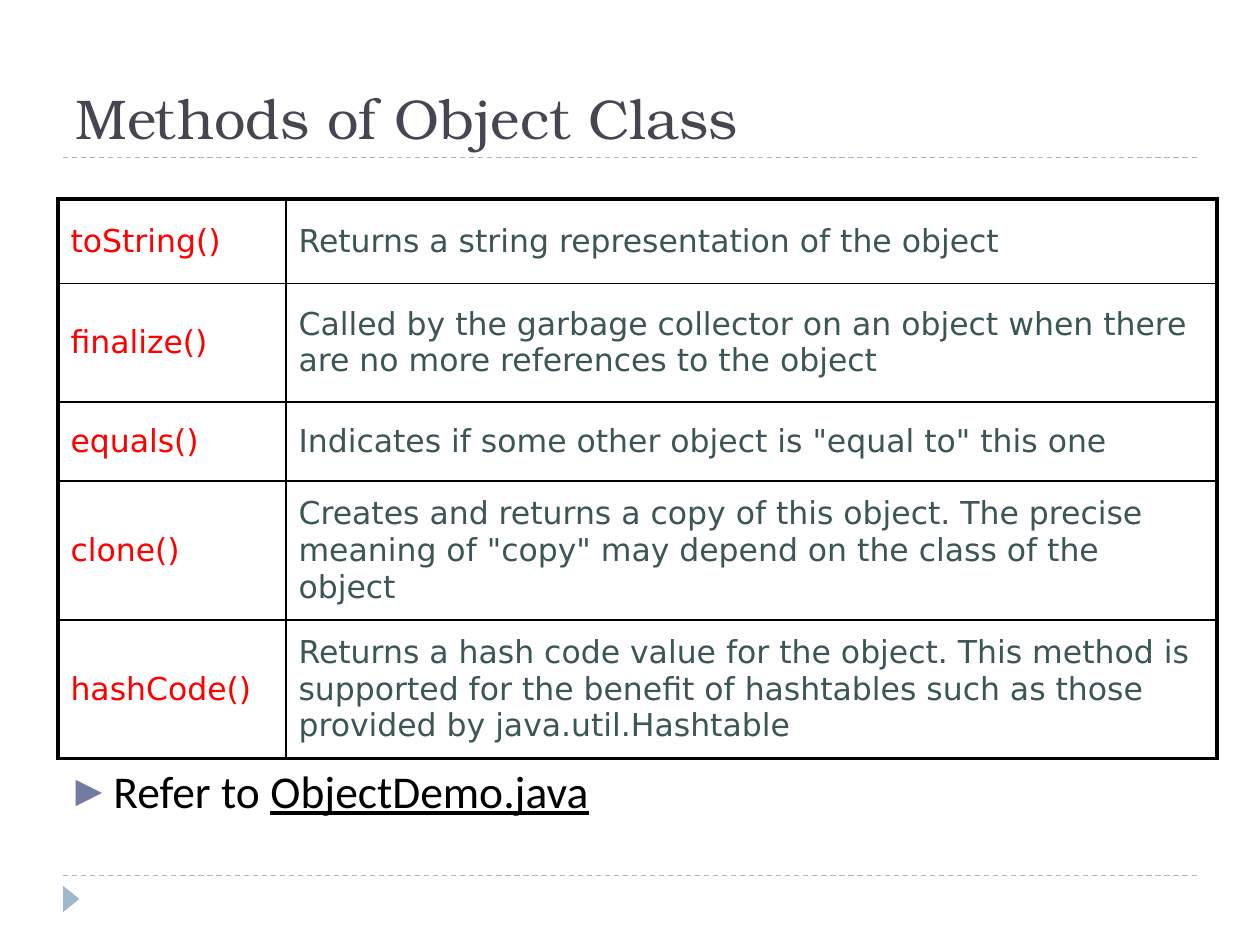
"""Build a slide that lists the methods of the Object class."""
from lxml import etree
from pptx import Presentation
from pptx import util as u
from pptx.dml.color import RGBColor
from pptx.enum import dml, shapes, text
from pptx.oxml import ns

TITLE = "Methods of Object Class"
ROWS = [
    (0.67, "toString()", "Returns a string representation of the object"),
    (0.94, "finalize()", "Called by the garbage collector on an object when there "
                         "are no more references to the object"),
    (0.63, "equals()", 'Indicates if some other object is "equal to" this one'),
    (1.1, "clone()", "Creates and returns a copy of this object. The precise meaning "
                     'of "copy" may depend on the class of the object'),
    (1.1, "hashCode()", "Returns a hash code value for the object. This method is "
                        "supported for the benefit of hashtables such as those "
                        "provided by java.util.Hashtable"),
]
COLS = [(1.81, "FF0000"), (7.39, "3C5658")]
NOTE = [("Refer to ", False), ("ObjectDemo.java", True)]
RULES = [1.25, 6.95]
BULLET = [("buClr", {}), ("buSzPct", {"val": "76000"}),
          ("buFont", {"typeface": "DejaVu Sans"}), ("buChar", {"char": "▶"})]
PALE = "9FB8CD"


def color(code):
    return RGBColor.from_string(code)


def add(node, tag, **attrs):
    return etree.SubElement(node, ns.qn("a:" + tag), attrs)


def place(shape, *box):
    shape.left, shape.top, shape.width, shape.height = map(u.Inches, box)


def write(par, words, size, face, code, under=None):
    run = par.add_run()
    run.text = words
    font = run.font
    font.size, font.name, font.underline = u.Pt(size), face, under
    font.color.rgb = color(code)


def edge(cell, sides):
    props = cell._tc.get_or_add_tcPr()
    for side, outer in sides:
        line = add(props, "ln" + side, w=str(u.Pt(2.25 if outer else 1)))
        add(add(line, "solidFill"), "srgbClr", val="000000")


def draw_frame(slide):
    for y in RULES:
        rule = slide.shapes.add_connector(
            shapes.MSO_CONNECTOR.STRAIGHT, *map(u.Inches, (0.5, y, 9.5, y)))
        rule.line.color.rgb = color(PALE)
        rule.line.width = u.Pt(0.75)
        rule.line.dash_style = dml.MSO_LINE.DASH
        add(rule._element.spPr, "effectLst")
    mark = slide.shapes.add_shape(
        shapes.MSO_SHAPE.ISOSCELES_TRIANGLE, *map(u.Inches, (0.46, 7.07, 0.21, 0.13)))
    mark.rotation = 90
    mark.shadow.inherit = False
    mark.fill.solid()
    mark.fill.fore_color.rgb = color(PALE)
    mark.line.fill.background()


def draw_title(slide):
    title = slide.shapes.title
    place(title, 0.5, 0.17, 9, 1.08)
    frame = title.text_frame
    frame.auto_size = text.MSO_AUTO_SIZE.NONE
    frame.vertical_anchor = text.MSO_ANCHOR.BOTTOM
    par = frame.paragraphs[0]
    par.alignment = text.PP_ALIGN.LEFT
    write(par, TITLE, 32, "TeX Gyre Bonum", "464653")


def draw_note(slide):
    body = slide.placeholders[1]
    place(body, 0.5, 5.97, 9, 0.6)
    frame = body.text_frame
    frame.auto_size = text.MSO_AUTO_SIZE.NONE
    frame.vertical_anchor = text.MSO_ANCHOR.MIDDLE
    par = frame.paragraphs[0]
    par.space_before = u.Pt(0)
    props = par._p.get_or_add_pPr()
    props.set("marL", str(u.Inches(0.3)))
    props.set("indent", str(u.Inches(-0.3)))
    for tag, attrs in BULLET:
        node = add(props, tag, **attrs)
        if tag == "buClr":
            add(node, "srgbClr", val="727CA3")
    for words, under in NOTE:
        write(par, words, 26, "Calibri", "000000", under)


def draw_table(slide):
    wide, high = sum(c[0] for c in COLS), sum(r[0] for r in ROWS)
    table = slide.shapes.add_table(
        len(ROWS), len(COLS), *map(u.Inches, (0.46, 1.58, wide, high))).table
    table.first_row = table.horz_banding = False
    for j, (width, _) in enumerate(COLS):
        table.columns[j].width = u.Inches(width)
    for i, (height, *words) in enumerate(ROWS):
        table.rows[i].height = u.Inches(height)
        for j, (_, code) in enumerate(COLS):
            cell = table.cell(i, j)
            cell.vertical_anchor = text.MSO_ANCHOR.MIDDLE
            edge(cell, [("L", j == 0), ("R", j == len(COLS) - 1),
                        ("T", i == 0), ("B", i == len(ROWS) - 1)])
            cell.fill.background()
            write(cell.text_frame.paragraphs[0], words[j], 18, "DejaVu Sans", code)


def main():
    deck = Presentation()
    deck.slide_width, deck.slide_height = u.Inches(10), u.Inches(7.5)
    slide = deck.slides.add_slide(deck.slide_layouts[1])
    for draw in (draw_frame, draw_title, draw_note, draw_table):
        draw(slide)
    deck.save("out.pptx")


if __name__ == "__main__":
    main()
